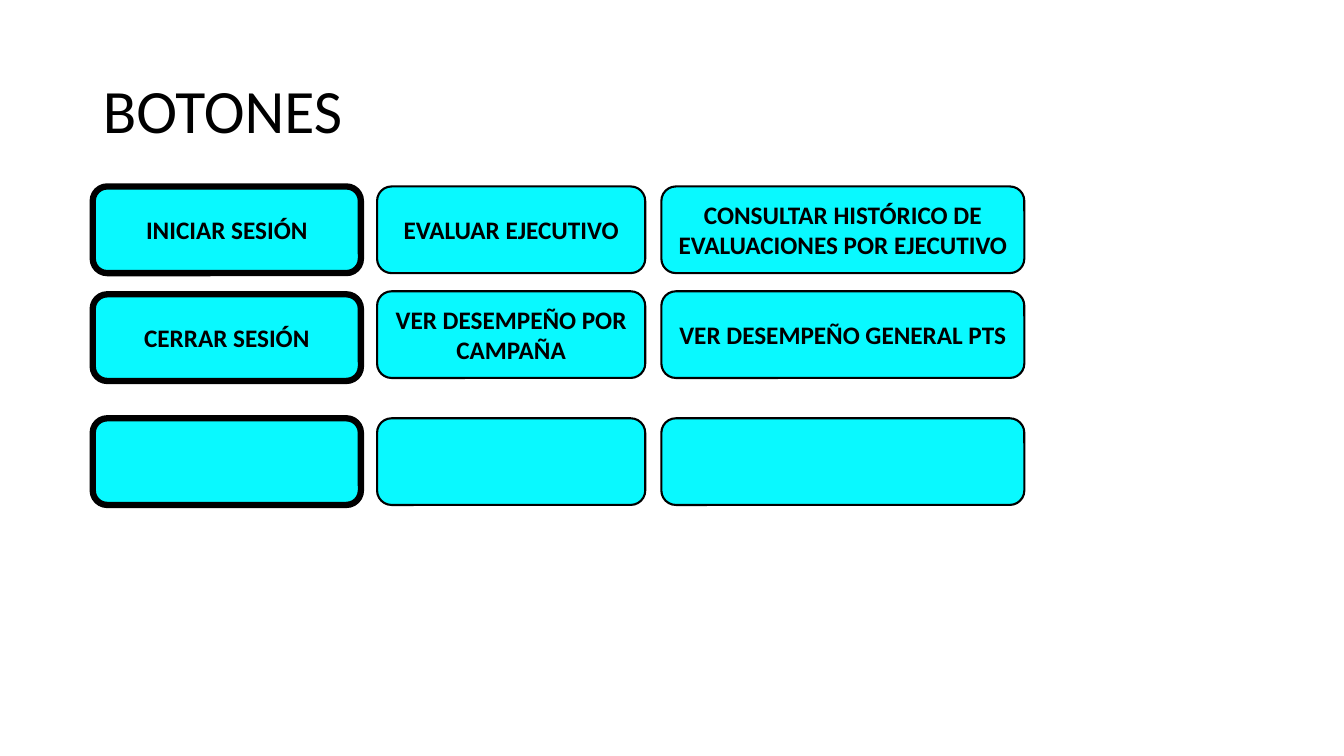
from dataclasses import dataclass

from pptx import Presentation
from pptx.dml.color import RGBColor
from pptx.enum.shapes import MSO_SHAPE
from pptx.enum.text import MSO_ANCHOR, MSO_AUTO_SIZE, PP_ALIGN
from pptx.util import Inches, Pt

ROUNDED = MSO_SHAPE.ROUNDED_RECTANGLE
MIDDLE = MSO_ANCHOR.MIDDLE
NO_AUTO_SIZE = MSO_AUTO_SIZE.NONE
LEFT, CENTER = PP_ALIGN.LEFT, PP_ALIGN.CENTER
TITLE_ONLY_LAYOUT = 5


@dataclass(frozen=True)
class Theme:
    font: str = "Calibri"
    ink: RGBColor = RGBColor(0x00, 0x00, 0x00)
    button: RGBColor = RGBColor(0x09, 0xF9, 0xFF)
    title_size: float = 44
    button_size: float = 18
    thin_line: float = 1.5
    thick_line: float = 4.5


@dataclass(frozen=True)
class ButtonColumn:
    width: float
    line: float
    row_tops: tuple
    labels: tuple


THEME = Theme()
MARGIN = 0.92
CONTENT_WIDTH = 11.5
TITLE_TOP, TITLE_HEIGHT = 0.4, 1.45
BUTTON_HEIGHT = 0.86
COLUMN_GAP = 0.16
SESSION_ROWS = (0, 1.07, 2.3)
ACTION_ROWS = (0, 1.04, 2.3)
COLUMNS = (
    ButtonColumn(2.66, THEME.thick_line, SESSION_ROWS,
                 ("INICIAR SESIÓN", "CERRAR SESIÓN", "")),
    ButtonColumn(2.66, THEME.thin_line, ACTION_ROWS,
                 ("EVALUAR EJECUTIVO", "VER DESEMPEÑO POR CAMPAÑA", "")),
    ButtonColumn(3.6, THEME.thin_line, ACTION_ROWS,
                 ("CONSULTAR HISTÓRICO DE EVALUACIONES POR EJECUTIVO",
                  "VER DESEMPEÑO GENERAL PTS", "")),
)


def format_paragraph(paragraph, size, bold, alignment):
    paragraph.alignment = alignment
    paragraph.font.name = THEME.font
    paragraph.font.size = Pt(size)
    paragraph.font.bold = bold
    paragraph.font.color.rgb = THEME.ink


def place_title(slide, text, left, top, width, height):
    title = slide.shapes.title
    title.left, title.top = Inches(left), Inches(top)
    title.width, title.height = Inches(width), Inches(height)
    frame = title.text_frame
    frame.text = text
    frame.vertical_anchor = MIDDLE
    frame.auto_size = NO_AUTO_SIZE
    paragraph = frame.paragraphs[0]
    paragraph.line_spacing = 0.9
    format_paragraph(paragraph, THEME.title_size, False, LEFT)


def add_button(slide, label, line, left, top, width, height):
    button = slide.shapes.add_shape(
        ROUNDED, Inches(left), Inches(top), Inches(width), Inches(height))
    button.shadow.inherit = False
    button.fill.solid()
    button.fill.fore_color.rgb = THEME.button
    button.line.color.rgb = THEME.ink
    button.line.width = Pt(line)
    if label:
        frame = button.text_frame
        frame.text = label
        frame.word_wrap = True
        frame.vertical_anchor = MIDDLE
        format_paragraph(frame.paragraphs[0], THEME.button_size, True, CENTER)


def add_button_grid(slide, columns, left, top):
    for column in columns:
        for label, row_top in zip(column.labels, column.row_tops):
            add_button(slide, label, column.line, left, top + row_top,
                       column.width, BUTTON_HEIGHT)
        left += column.width + COLUMN_GAP


def main():
    presentation = Presentation()
    presentation.slide_width = Inches(13.33)
    presentation.slide_height = Inches(7.5)
    slide = presentation.slides.add_slide(
        presentation.slide_layouts[TITLE_ONLY_LAYOUT])
    place_title(slide, "BOTONES", MARGIN, TITLE_TOP, CONTENT_WIDTH, TITLE_HEIGHT)
    add_button_grid(slide, COLUMNS, MARGIN, TITLE_TOP + TITLE_HEIGHT)
    presentation.save("out.pptx")


if __name__ == "__main__":
    main()
